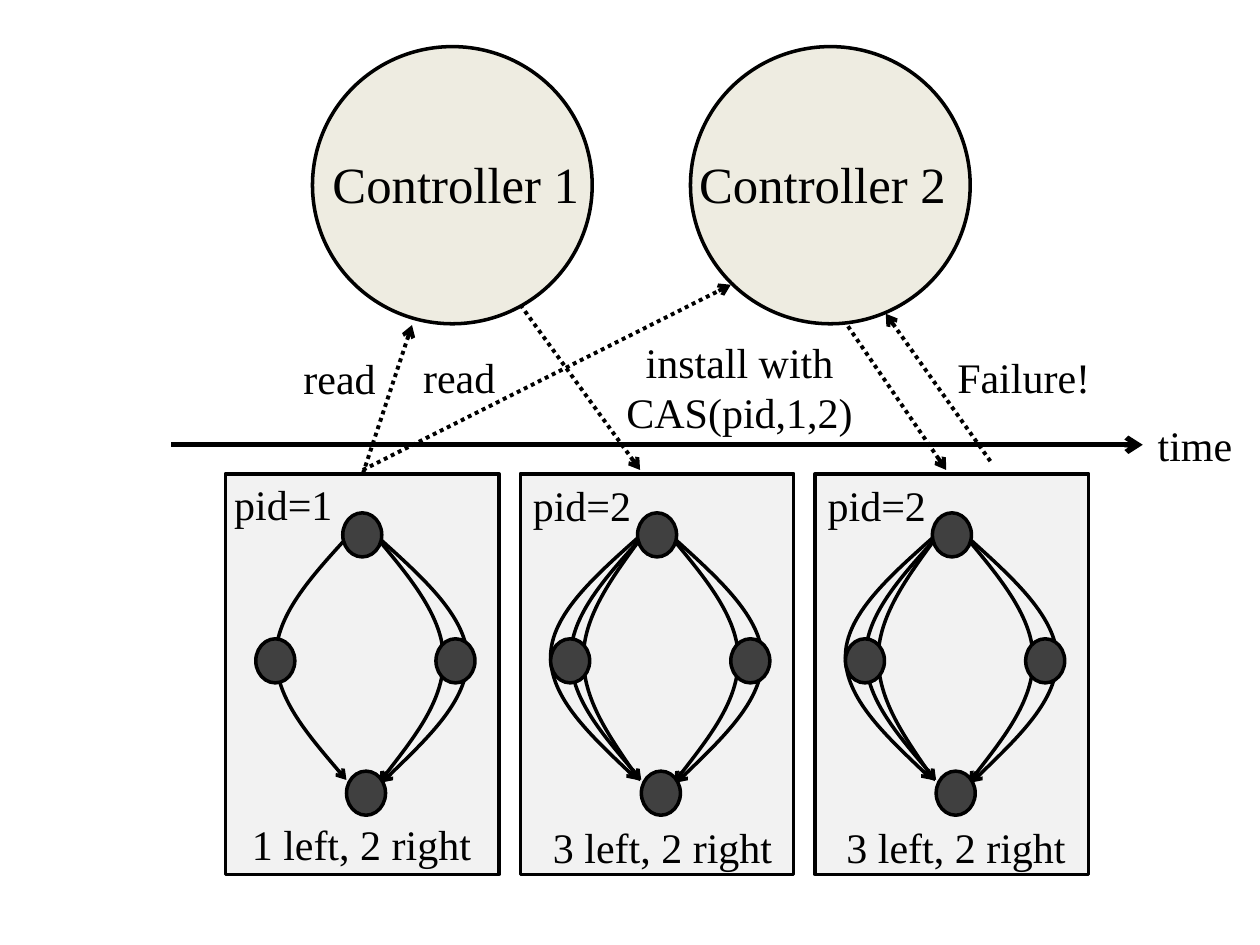
from dataclasses import dataclass

from pptx import Presentation
from pptx.dml.color import RGBColor
from pptx.enum.dml import MSO_LINE
from pptx.enum.shapes import MSO_CONNECTOR, MSO_SHAPE
from pptx.enum.text import MSO_AUTO_SIZE, PP_ALIGN
from pptx.oxml.ns import qn
from pptx.util import Inches, Pt


@dataclass(frozen=True)
class Theme:
    ink: str = "000000"
    controller: str = "EEECE1"
    panel: str = "F2F2F2"
    switch: str = "404040"
    font: str = "Times New Roman"
    label: float = 24
    title: float = 29
    outline: float = 2
    message: float = 2.25
    timeline: float = 3


THEME = Theme()

CONTROLLERS = [
    ("Controller 1", 2.48, 2.54),
    ("Controller 2", 5.48, 5.45),
]
CONTROLLER_TOP, CONTROLLER_SIZE, TITLE_TOP = 0.37, (2.22, 2.2), 1.16

TIMELINE = ((1.36, 3.53), (9.07, 3.53))
MESSAGES = [
    ((2.88, 3.76), (3.27, 2.58)),
    ((2.88, 3.73), (5.8, 2.26)),
    ((4.13, 2.42), (5.08, 3.73)),
    ((6.73, 2.59), (7.51, 3.73)),
    ((7.86, 3.66), (7.03, 2.49)),
]
LABELS = [
    (["time"], (9.09, 3.28), (0.8, 0.5), PP_ALIGN.LEFT),
    (["read"], (2.31, 2.75), (0.78, 0.5), PP_ALIGN.LEFT),
    (["read"], (3.26, 2.74), (0.78, 0.56), PP_ALIGN.LEFT),
    (["Failure!"], (7.49, 2.74), (1.27, 0.5), PP_ALIGN.CENTER),
    (["install with", "CAS(pid,1,2)"], (4.86, 2.62), (2.02, 0.91), PP_ALIGN.CENTER),
]

FIRST_PATHS = [(0.96, 0.51, -0.56), (1.24, 0.53, 0.68), (1.22, 0.53, 0.51)]
ALL_PATHS = FIRST_PATHS + [(0.95, 0.52, -0.45), (0.93, 0.51, -0.69)]
PANELS = [
    ("pid=1", (-0.03, -0.01), "1 left, 2 right", (0.11, 2.69), FIRST_PATHS),
    ("pid=2", (0, 0), "3 left, 2 right", (0.16, 2.71), ALL_PATHS),
    ("pid=2", (0, 0), "3 left, 2 right", (0.15, 2.71), ALL_PATHS),
]
PANEL_LEFT, PANEL_TOP, PANEL_PITCH, PANEL_SIZE = 1.79, 3.76, 2.34, (2.17, 3.18)
SWITCHES = [(0.93, 0.31), (0.96, 2.36), (0.24, 1.31), (1.67, 1.31)]
SWITCH_SIZE = (0.31, 0.35)
PATH_HEIGHT = 1.92
BULGE = [(0.5, 0.16), (1, 0.32), (1, 0.49), (1, 0.66), (0.5, 0.83), (0, 1)]


def inches(*lengths):
    return [Inches(length) for length in lengths]


def shift(origin, offset):
    return origin[0] + offset[0], origin[1] + offset[1]


def set_line(line, width):
    line.color.rgb = RGBColor.from_string(THEME.ink)
    line.width = Pt(width)


def add_head(properties):
    line = properties.find(qn("a:ln"))
    line.append(line.makeelement(qn("a:tailEnd"), {"type": "arrow"}))


def add_figure(slide, kind, corner, size, color):
    figure = slide.shapes.add_shape(kind, *inches(*corner, *size))
    figure.shadow.inherit = False
    figure.fill.solid()
    figure.fill.fore_color.rgb = RGBColor.from_string(color)
    set_line(figure.line, THEME.outline)


def add_label(slide, lines, corner, size, points=THEME.label, align=PP_ALIGN.LEFT):
    frame = slide.shapes.add_textbox(*inches(*corner, *size)).text_frame
    frame.word_wrap = False
    frame.auto_size = MSO_AUTO_SIZE.SHAPE_TO_FIT_TEXT
    frame.text = "\n".join(lines)
    for paragraph in frame.paragraphs:
        paragraph.alignment = align
        paragraph.font.name = THEME.font
        paragraph.font.size = Pt(points)
        paragraph.font.color.rgb = RGBColor.from_string(THEME.ink)


def add_arrow(slide, start, end, width, dash=None):
    arrow = slide.shapes.add_connector(MSO_CONNECTOR.STRAIGHT, *inches(*start, *end))
    set_line(arrow.line, width)
    if dash:
        arrow.line.dash_style = dash
    properties = arrow._element.spPr
    add_head(properties)
    properties.append(properties.makeelement(qn("a:effectLst"), {}))


def add_path(slide, start, reach):
    points = [
        inches(*shift(start, (across * reach, down * PATH_HEIGHT)))
        for across, down in BULGE
    ]
    builder = slide.shapes.build_freeform(*inches(*start))
    builder.add_line_segments(points, close=False)
    route = builder.convert_to_shape()
    route.shadow.inherit = False
    route.fill.background()
    set_line(route.line, THEME.outline)
    properties = route._element.spPr
    add_head(properties)
    outline = next(properties.iter(qn("a:path")))
    segments = outline.findall(qn("a:lnTo"))
    for first in range(0, len(segments), 3):
        curve = outline.makeelement(qn("a:cubicBezTo"), {})
        for segment in segments[first:first + 3]:
            curve.append(segment[0])
            outline.remove(segment)
        outline.append(curve)


def add_panel(slide, column, panel):
    pid, pid_offset, summary, summary_offset, paths = panel
    origin = (PANEL_LEFT + column * PANEL_PITCH, PANEL_TOP)
    add_figure(slide, MSO_SHAPE.RECTANGLE, origin, PANEL_SIZE, THEME.panel)
    for across, down, reach in paths:
        add_path(slide, shift(origin, (across, down)), reach)
    for offset in SWITCHES:
        add_figure(slide, MSO_SHAPE.OVAL, shift(origin, offset), SWITCH_SIZE, THEME.switch)
    add_label(slide, [summary], shift(origin, summary_offset), (1.96, 0.5))
    add_label(slide, [pid], shift(origin, pid_offset), (0.99, 0.5))


def main():
    deck = Presentation()
    deck.slide_width, deck.slide_height = inches(10, 7.5)
    slide = deck.slides.add_slide(deck.slide_layouts[6])
    add_arrow(slide, *TIMELINE, THEME.timeline)
    for column, panel in enumerate(PANELS):
        add_panel(slide, column, panel)
    for start, end in MESSAGES:
        add_arrow(slide, start, end, THEME.message, MSO_LINE.ROUND_DOT)
    for name, left, title_left in CONTROLLERS:
        add_figure(slide, MSO_SHAPE.OVAL, (left, CONTROLLER_TOP), CONTROLLER_SIZE, THEME.controller)
        add_label(slide, [name], (title_left, TITLE_TOP), (2.18, 0.59), THEME.title)
    for lines, corner, size, align in LABELS:
        add_label(slide, lines, corner, size, align=align)
    deck.save("out.pptx")


if __name__ == "__main__":
    main()
